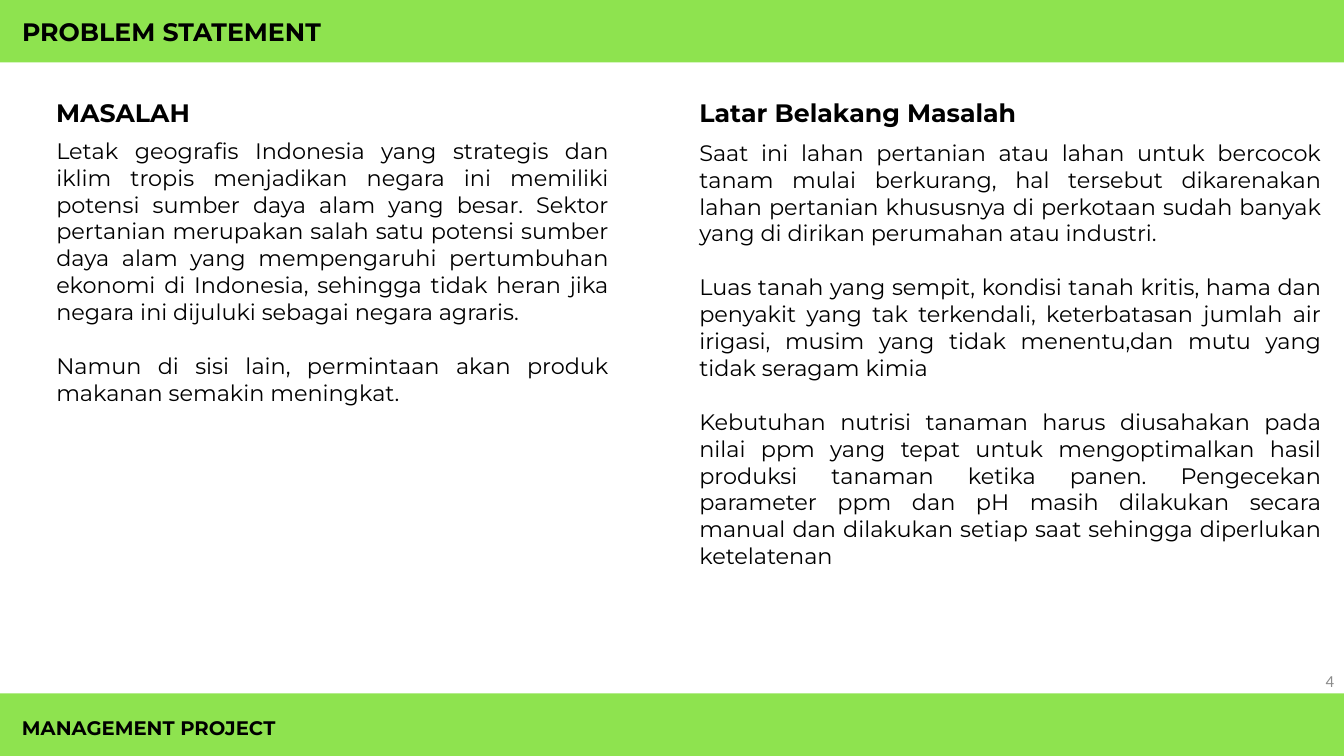
from dataclasses import dataclass

import pptx
import pptx.dml.color
import pptx.enum.shapes
import pptx.enum.text
import pptx.slide
import pptx.util

Pt = pptx.util.Pt
Align = pptx.enum.text.PP_ALIGN
Anchor = pptx.enum.text.MSO_ANCHOR
AutoSize = pptx.enum.text.MSO_AUTO_SIZE


@dataclass(frozen=True)
class Theme:
    bar: str = "8EE34F"
    ink: str = "000000"
    muted: str = "8C8C8C"
    font: str = "Montserrat"
    number_font: str = "Calibri"
    heading_size: float = 18
    body_size: float = 16
    footer_size: float = 14
    number_size: float = 12
    paragraph_gap: float = 19.3


@dataclass(frozen=True)
class Box:
    left: float
    top: float
    width: float
    height: float


@dataclass(frozen=True)
class Style:
    size: float
    font: str
    color: str
    bold: bool = False
    align: Align = Align.LEFT
    anchor: Anchor = Anchor.TOP
    auto_size: AutoSize = AutoSize.SHAPE_TO_FIT_TEXT


@dataclass(frozen=True)
class Column:
    heading: str
    heading_box: Box
    body_box: Box
    paragraphs: tuple[str, ...]


THEME = Theme()
HEADING = Style(THEME.heading_size, THEME.font, THEME.ink, bold=True)
FOOTER = Style(THEME.footer_size, THEME.font, THEME.ink, bold=True)
BODY = Style(THEME.body_size, THEME.font, THEME.ink, align=Align.JUSTIFY)
NUMBER = Style(THEME.number_size, THEME.number_font, THEME.muted,
               align=Align.RIGHT, anchor=Anchor.MIDDLE, auto_size=AutoSize.NONE)

SLIDE_WIDTH, SLIDE_HEIGHT, BAR_HEIGHT = 960, 540, 44.64
HEADING_TOP, HEADING_HEIGHT = 66.24, 28.8
LEFT_COLUMN, RIGHT_COLUMN = 33.12, 492.48

COLUMNS = (
    Column(
        "MASALAH",
        Box(LEFT_COLUMN, HEADING_TOP, 131.76, HEADING_HEIGHT),
        Box(LEFT_COLUMN, 94.32, 408.96, 221.76),
        (
            "Letak geografis Indonesia yang strategis dan iklim tropis menjadikan "
            "negara ini memiliki potensi sumber daya alam yang besar. Sektor pertanian "
            "merupakan salah satu potensi sumber daya alam yang mempengaruhi "
            "pertumbuhan ekonomi di Indonesia, sehingga tidak heran jika negara ini "
            "dijuluki sebagai negara agraris.",
            "Namun di sisi lain, permintaan akan produk makanan semakin meningkat.",
        ),
    ),
    Column(
        "Latar Belakang Masalah",
        Box(RIGHT_COLUMN, HEADING_TOP, 246.96, HEADING_HEIGHT),
        Box(RIGHT_COLUMN, 95.76, 458.64, 317.52),
        (
            "Saat ini lahan pertanian atau lahan untuk bercocok tanam mulai berkurang, "
            "hal tersebut dikarenakan lahan pertanian khususnya di perkotaan sudah "
            "banyak yang di dirikan perumahan atau industri.",
            "Luas tanah yang sempit, kondisi tanah kritis, hama dan penyakit yang tak "
            "terkendali, keterbatasan jumlah air irigasi, musim yang tidak menentu,dan "
            "mutu yang tidak seragam kimia",
            "Kebutuhan nutrisi tanaman harus diusahakan pada nilai ppm yang tepat untuk "
            "mengoptimalkan hasil produksi tanaman ketika panen. Pengecekan parameter "
            "ppm dan pH masih dilakukan secara manual dan dilakukan setiap saat "
            "sehingga diperlukan ketelatenan",
        ),
    ),
)


def color(value: str) -> pptx.dml.color.RGBColor:
    return pptx.dml.color.RGBColor.from_string(value)


def add_bar(slide: pptx.slide.Slide, top: float) -> None:
    shape = slide.shapes.add_shape(pptx.enum.shapes.MSO_SHAPE.RECTANGLE,
                                   Pt(0), Pt(top), Pt(SLIDE_WIDTH), Pt(BAR_HEIGHT))
    shape.shadow.inherit = False
    shape.fill.solid()
    shape.fill.fore_color.rgb = color(THEME.bar)
    shape.line.fill.background()


def add_text(slide: pptx.slide.Slide, box: Box, style: Style, *texts: str) -> None:
    """Add a text box with one paragraph per text, spaced by the theme's gap."""
    shape = slide.shapes.add_textbox(Pt(box.left), Pt(box.top),
                                     Pt(box.width), Pt(box.height))
    frame = shape.text_frame
    frame.word_wrap = True
    frame.auto_size = style.auto_size
    frame.vertical_anchor = style.anchor
    for index, text in enumerate(texts):
        paragraph = frame.add_paragraph() if index else frame.paragraphs[0]
        paragraph.alignment = style.align
        if index:
            paragraph.space_before = Pt(THEME.paragraph_gap)
        run = paragraph.add_run()
        run.text = text
        run.font.size = Pt(style.size)
        run.font.name = style.font
        run.font.bold = style.bold
        run.font.color.rgb = color(style.color)


def main() -> None:
    presentation = pptx.Presentation()
    presentation.slide_width = Pt(SLIDE_WIDTH)
    presentation.slide_height = Pt(SLIDE_HEIGHT)
    slide = presentation.slides.add_slide(presentation.slide_layouts[6])

    for top in (SLIDE_HEIGHT - BAR_HEIGHT, 0):
        add_bar(slide, top)
    add_text(slide, Box(8.64, 7.92, 519.84, HEADING_HEIGHT), HEADING, "PROBLEM STATEMENT")
    add_text(slide, Box(8.64, 507.6, 216, 24.48), FOOTER, "MANAGEMENT PROJECT")
    for column in COLUMNS:
        add_text(slide, column.body_box, BODY, *column.paragraphs)
        add_text(slide, column.heading_box, HEADING, column.heading)
    add_text(slide, Box(744, 471.6, 216, 28.8), NUMBER, "4")

    presentation.save("out.pptx")


if __name__ == "__main__":
    main()
